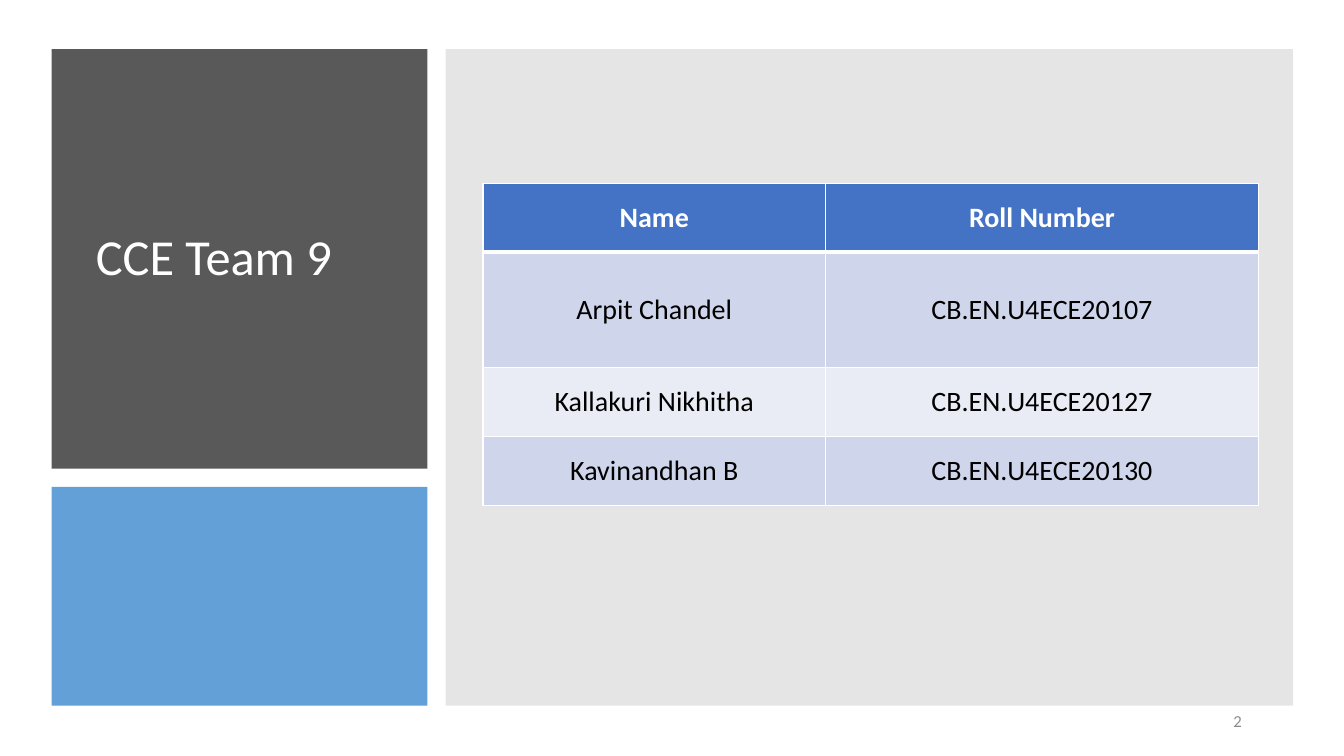
"""Build the team slide: title panel, accent panel and member table."""
from dataclasses import dataclass

from lxml.etree import SubElement
from pptx import Presentation
from pptx.dml.color import RGBColor
from pptx.enum.shapes import MSO_SHAPE as Shape
from pptx.enum.text import MSO_ANCHOR as Anchor, MSO_AUTO_SIZE as Auto, PP_ALIGN as Align
from pptx.oxml.ns import qn
from pptx.util import Cm, Pt

FONT = "Calibri"
WHITE = "FFFFFF"


@dataclass
class Panel:
    left: float
    top: float
    width: float
    height: float
    color: str
    alpha: int = 100


PANELS = [
    Panel(1.3, 1.24, 9.47, 10.57, "595959"),
    Panel(1.3, 12.27, 9.47, 5.51, "5B9BD5", 95),
    Panel(11.23, 1.24, 21.36, 16.54, "808080", 20),
]
ROWS = [
    ("Name", "Roll Number"),
    ("Arpit Chandel", "CB.EN.U4ECE20107"),
    ("Kallakuri Nikhitha", "CB.EN.U4ECE20127"),
    ("Kavinandhan B", "CB.EN.U4ECE20130"),
]
FILLS = ["4472C4", "CFD5EA", "E9EBF5", "CFD5EA"]
WIDTHS = [8.64, 10.9]
HEIGHTS = [1.73, 2.92, 1.73, 1.73]


def paint(target, color: str) -> None:
    target.fill.solid()
    target.fill.fore_color.rgb = RGBColor.from_string(color)


def write(frame, text: str, size: int, color: str, align, bold: bool = False) -> None:
    frame.text = text
    para = frame.paragraphs[0]
    para.alignment = align
    para.font.name = FONT
    para.font.size = Pt(size)
    para.font.bold = bold
    para.font.color.rgb = RGBColor.from_string(color)


def add_panel(slide, panel: Panel) -> None:
    box = slide.shapes.add_shape(Shape.RECTANGLE, Cm(panel.left), Cm(panel.top),
                                 Cm(panel.width), Cm(panel.height))
    box.shadow.inherit = False
    box.line.fill.background()
    paint(box, panel.color)
    if panel.alpha < 100:
        tint = box.element.spPr.find(qn("a:solidFill"))[0]
        SubElement(tint, qn("a:alpha"), val=str(panel.alpha * 1000))


def add_title(slide, text: str) -> None:
    title = slide.shapes.title
    title.left, title.top, title.width, title.height = Cm(2.16), Cm(2.03), Cm(7.9), Cm(8.99)
    frame = title.text_frame
    frame.word_wrap = True
    frame.auto_size = Auto.NONE
    frame.vertical_anchor = Anchor.MIDDLE
    write(frame, text, 36, WHITE, Align.LEFT)
    frame.paragraphs[0].line_spacing = 0.9
    title.element.getparent().append(title.element)


def add_border(cell, row: int) -> None:
    thick = {0: "lnB", 1: "lnT"}.get(row)
    props = cell._tc.get_or_add_tcPr()
    for side in ("lnL", "lnR", "lnT", "lnB"):
        width = Pt(3 if side == thick else 1)
        line = SubElement(props, qn(f"a:{side}"), w=str(width))
        fill = SubElement(line, qn("a:solidFill"))
        SubElement(fill, qn("a:srgbClr"), val=WHITE)


def add_members(slide) -> None:
    table = slide.shapes.add_table(len(ROWS), len(WIDTHS), Cm(12.17), Cm(4.62),
                                   Cm(sum(WIDTHS)), Cm(sum(HEIGHTS))).table
    for column, width in zip(table.columns, WIDTHS):
        column.width = Cm(width)
    for r, texts in enumerate(ROWS):
        table.rows[r].height = Cm(HEIGHTS[r])
        head = r == 0
        for c, text in enumerate(texts):
            cell = table.cell(r, c)
            add_border(cell, r)
            paint(cell, FILLS[r])
            cell.vertical_anchor = Anchor.MIDDLE
            cell.margin_left = cell.margin_right = Cm(0.41)
            cell.margin_top = cell.margin_bottom = Cm(0.2)
            write(cell.text_frame, text, 20, WHITE if head else "000000", Align.CENTER, head)


def add_number(slide, text: str) -> None:
    frame = slide.shapes.add_textbox(Cm(23.93), Cm(17.65), Cm(7.62), Cm(1.02)).text_frame
    frame.word_wrap = True
    frame.vertical_anchor = Anchor.MIDDLE
    write(frame, text, 12, "8C8C8C", Align.RIGHT)


def main() -> None:
    deck = Presentation()
    deck.slide_width, deck.slide_height = Cm(33.87), Cm(19.05)
    slide = deck.slides.add_slide(deck.slide_layouts[5])
    dark, *others = PANELS
    add_panel(slide, dark)
    add_title(slide, "CCE Team 9")
    for panel in others:
        add_panel(slide, panel)
    add_members(slide)
    add_number(slide, "2")
    deck.save("out.pptx")


if __name__ == "__main__":
    main()
